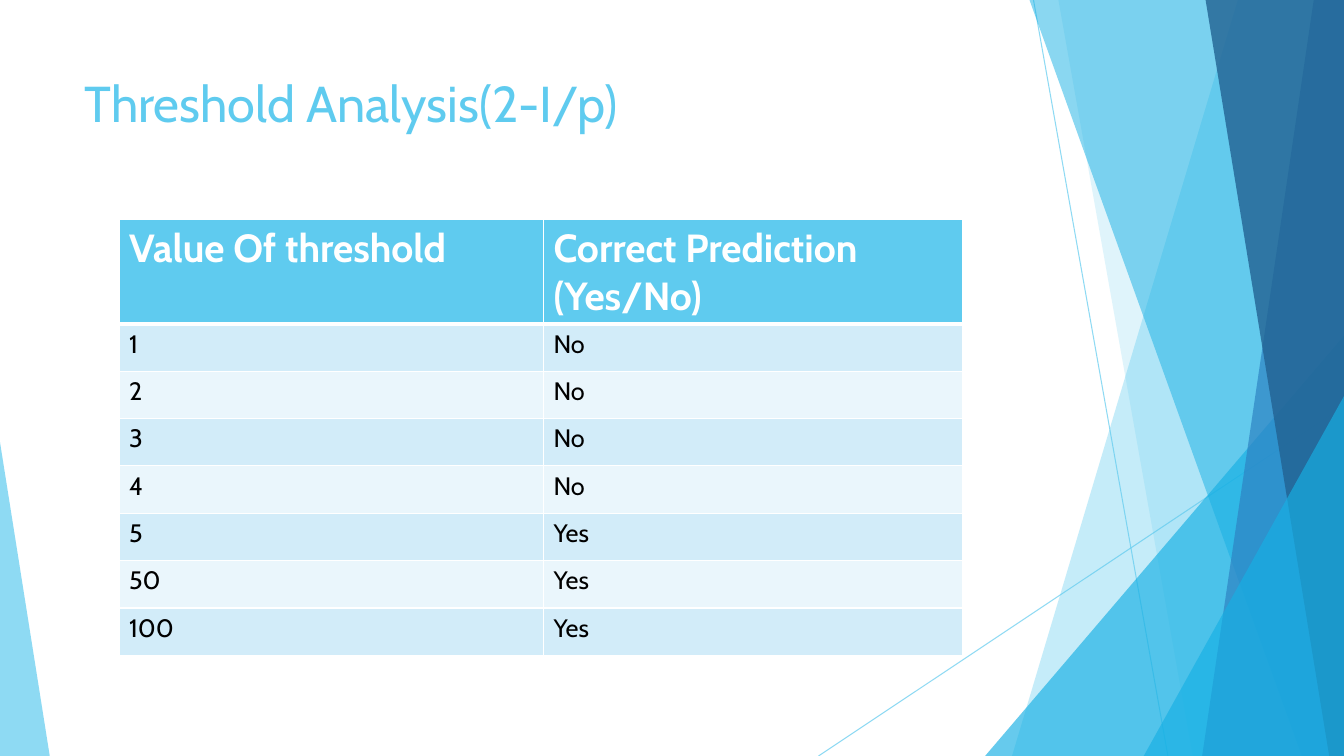
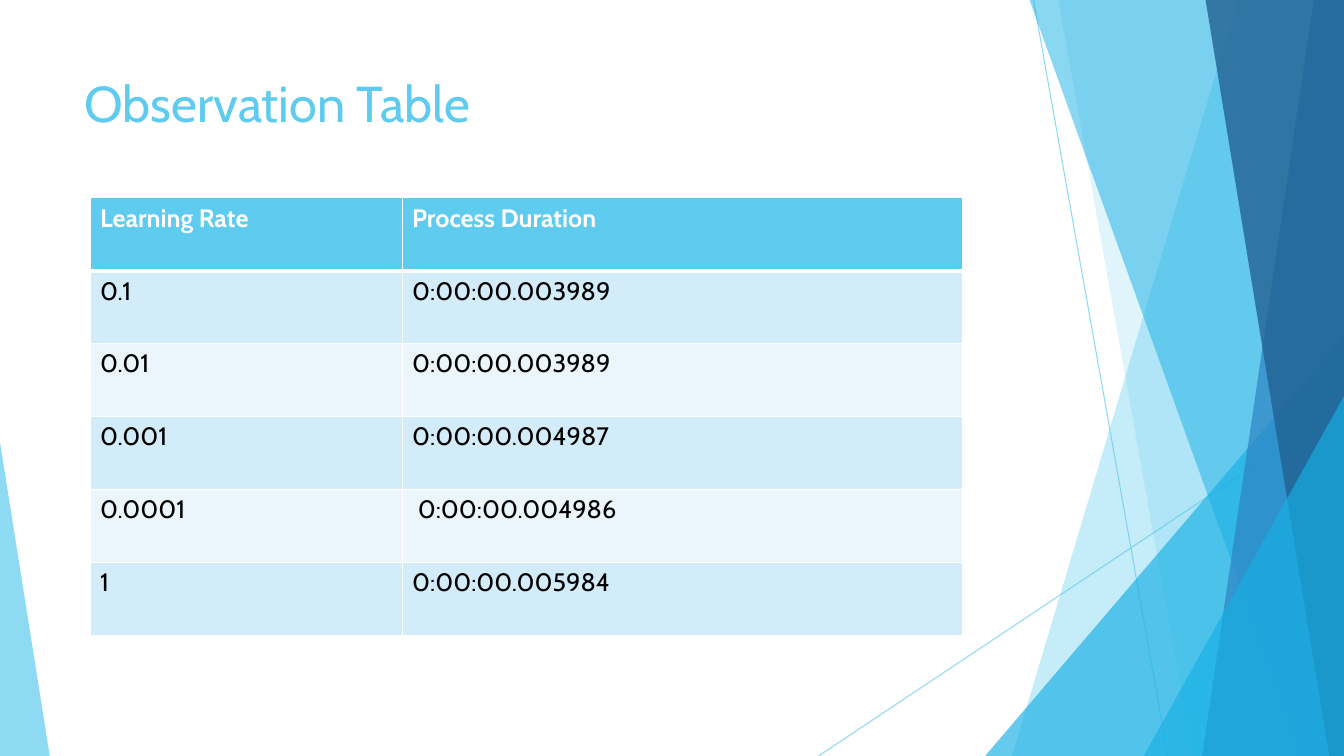
from dataclasses import dataclass

from lxml import etree
from pptx import Presentation
from pptx.dml.color import RGBColor
from pptx.enum.shapes import MSO_CONNECTOR, MSO_SHAPE
from pptx.enum.text import MSO_ANCHOR, PP_ALIGN
from pptx.oxml.ns import qn
from pptx.util import Inches, Pt

STRAIGHT = MSO_CONNECTOR.STRAIGHT
TRIANGLE = MSO_SHAPE.ISOSCELES_TRIANGLE
TOP, LEFT = MSO_ANCHOR.TOP, PP_ALIGN.LEFT
WIDTH, HEIGHT = Inches(13.33), Inches(7.5)


@dataclass(frozen=True)
class Theme:
    font: str = "Cabin"
    sky: str = "5FCBEF"
    cyan: str = "17B0E4"
    blue: str = "2E83C3"
    navy: str = "226292"
    white: str = "FFFFFF"
    black: str = "000000"
    bands: tuple = ("D2ECF9", "EAF6FC")
    title_size: int = 36
    large_size: int = 28
    body_size: int = 18
    hairline: float = 0.75
    border: int = 1
    header_border: int = 3


THEME = Theme()

# Facet geometry on a grid of 100 columns by 100 rows
RAYS = [(76.9, 0, 86.9, 100), (100, 53.7, 60.9, 100)]
# Back to front: slanted bands (top column, bottom column) and
# triangles (left, top, width, apex share), each with colour and opacity
FACETS = [
    ("band", (92.1, 75.3), THEME.sky, 36),
    ("band", (78.75, 88.75), THEME.sky, 20),
    ("triangle", (73.3, 44.4, 26.7, 1), THEME.cyan, 66),
    ("band", (76.6, 96.85), THEME.cyan, 50),
    ("band", (97.75, 89.45), THEME.blue, 70),
    ("band", (89.7, 98.9), THEME.navy, 80),
    ("triangle", (85.1, 52.4, 14.9, 1), THEME.cyan, 66),
    ("triangle", (0, 58.5, 3.7, 0), THEME.sky, 70),
]
TITLE_BOX = (5.55, 8.9, 70.5, 19.2)

SLIDES = [
    {
        "title": "Threshold Analysis(2-I/p)",
        "box": (8.85, 29.05, 62.8, 56.95),
        "first_column": 50.3,
        "header_rows": 2.09,
        "header_size": THEME.large_size,
        "rows": [
            ("Value Of threshold", "Correct Prediction (Yes/No)"),
            ("1", "No"), ("2", "No"), ("3", "No"), ("4", "No"),
            ("5", "Yes"), ("50", "Yes"), ("100", "Yes"),
        ],
    },
    {
        "title": "Observation Table",
        "box": (6.7, 26.15, 64.95, 57.9),
        "first_column": 35.75,
        "header_rows": 1,
        "header_size": THEME.body_size,
        "rows": [
            ("Learning Rate", "Process Duration"),
            ("0.1", "0:00:00.003989"),
            ("0.01", "0:00:00.003989"),
            ("0.001", "0:00:00.004987"),
            ("0.0001", " 0:00:00.004986"),
            ("1", "0:00:00.005984"),
        ],
    },
]


def place(column, row):
    return round(WIDTH * column / 100), round(HEIGHT * row / 100)


def place_box(box):
    return place(*box[:2]) + place(*box[2:])


def set_opacity(shape, percent):
    for colour in shape.element.iter(qn("a:srgbClr")):
        etree.SubElement(colour, qn("a:alpha"), val=str(percent * 1000))


def write(text_frame, text, size, colour, bold=False):
    paragraph = text_frame.paragraphs[0]
    paragraph.alignment = LEFT
    run = paragraph.add_run()
    run.text = text
    formats = {"name": THEME.font, "size": Pt(size), "bold": bold}
    for name, value in formats.items():
        setattr(run.font, name, value)
    run.font.color.rgb = RGBColor.from_string(colour)


# Background rays and facets
def add_ray(slide, ray):
    connector = slide.shapes.add_connector(STRAIGHT, *place_box(ray))
    connector.line.width = Pt(THEME.hairline)
    connector.line.color.rgb = RGBColor.from_string(THEME.sky)
    etree.SubElement(connector.element.spPr, qn("a:effectLst"))
    set_opacity(connector, 70)


def add_band(slide, top_column, bottom_column):
    builder = slide.shapes.build_freeform(*place(top_column, 0))
    corners = [(100, 0), (100, 100), (bottom_column, 100)]
    builder.add_line_segments([place(*corner) for corner in corners], close=True)
    return builder.convert_to_shape()


def add_triangle(slide, left, top, width, apex):
    box = (left, top, width, 100 - top)
    shape = slide.shapes.add_shape(TRIANGLE, *place_box(box))
    shape.adjustments[0] = apex
    return shape


def add_background(slide):
    builders = {"band": add_band, "triangle": add_triangle}
    for ray in RAYS:
        add_ray(slide, ray)
    for kind, geometry, colour, opacity in FACETS:
        shape = builders[kind](slide, *geometry)
        shape.shadow.inherit = False
        shape.fill.solid()
        shape.fill.fore_color.rgb = RGBColor.from_string(colour)
        shape.line.fill.background()
        set_opacity(shape, opacity)


# Title
def add_title(slide, text, box):
    text_frame = slide.shapes.add_textbox(*place_box(box)).text_frame
    text_frame.word_wrap = True
    text_frame.vertical_anchor = TOP
    write(text_frame, text, THEME.title_size, THEME.sky)


# Table
def add_borders(cell, widths):
    properties = cell._tc.get_or_add_tcPr()
    for side, width in widths.items():
        line = etree.SubElement(properties, qn(f"a:ln{side}"), w=str(Pt(width)))
        fill = etree.SubElement(line, qn("a:solidFill"))
        etree.SubElement(fill, qn("a:srgbClr"), val=THEME.white)


def style_cell(cell, text, row, header_size):
    header = row == 0
    widths = dict.fromkeys("LRTB", THEME.border)
    if row < 2:
        widths["B" if header else "T"] = THEME.header_border
    add_borders(cell, widths)
    cell.fill.solid()
    fill = THEME.sky if header else THEME.bands[(row - 1) % 2]
    cell.fill.fore_color.rgb = RGBColor.from_string(fill)
    size = header_size if header else THEME.body_size
    colour = THEME.white if header else THEME.black
    write(cell.text_frame, text, size, colour, bold=header)


def add_data_table(slide, content):
    rows = content["rows"]
    left, top, width, height = place_box(content["box"])
    table = slide.shapes.add_table(len(rows), 2, left, top, width, height).table
    first_width = round(width * content["first_column"] / 100)
    table.columns[0].width = first_width
    table.columns[1].width = width - first_width
    row_height = height / (len(rows) - 1 + content["header_rows"])
    for row, texts in enumerate(rows):
        share = 1 if row else content["header_rows"]
        table.rows[row].height = round(row_height * share)
        for column, text in enumerate(texts):
            style_cell(table.cell(row, column), text, row, content["header_size"])


def add_table_slide(presentation, content):
    slide = presentation.slides.add_slide(presentation.slide_layouts[6])
    add_background(slide)
    add_title(slide, content["title"], TITLE_BOX)
    add_data_table(slide, content)


presentation = Presentation()
presentation.slide_width, presentation.slide_height = WIDTH, HEIGHT
for content in SLIDES:
    add_table_slide(presentation, content)
presentation.save("out.pptx")
